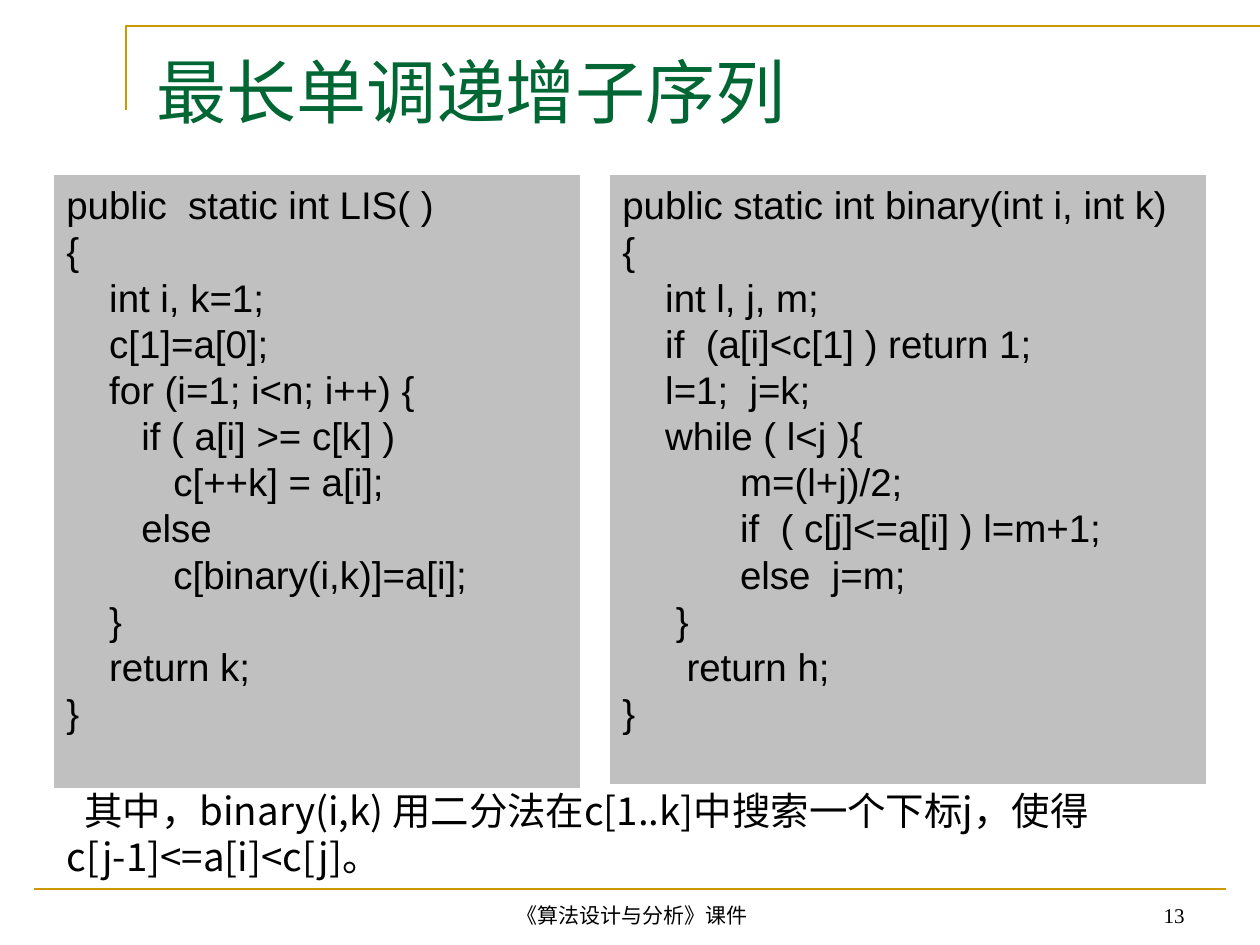
import pptx
import pptx.dml.color
import pptx.enum.shapes
import pptx.enum.text
import pptx.oxml.ns
import pptx.util
import lxml.etree

ANCHOR = pptx.enum.text.MSO_ANCHOR
ALIGN = pptx.enum.text.PP_ALIGN
GOLD, GREEN, GRAY, BLACK = "CC9900", "006633", "C0C0C0", "000000"
SANS, CJK, SERIF = "Arial", "Noto Sans CJK SC", "Times New Roman"
SPACE = 10.7

LIS_CODE = [
    (0, "public  static int LIS( )"),
    (0, "{"),
    (4, "int i, k=1;"),
    (4, "c[1]=a[0];"),
    (4, "for (i=1; i<n; i++) {"),
    (7, "if ( a[i] >= c[k] )"),
    (10, "c[++k] = a[i];"),
    (7, "else"),
    (10, "c[binary(i,k)]=a[i];"),
    (4, "}"),
    (4, "return k;"),
    (0, "}"),
]
BINARY_CODE = [
    (0, "public static int binary(int i, int k)"),
    (0, "{"),
    (4, "int l, j, m;"),
    (4, "if  (a[i]<c[1] ) return 1;"),
    (4, "l=1;  j=k;"),
    (4, "while ( l<j ){"),
    (11, "m=(l+j)/2;"),
    (11, "if  ( c[j]<=a[i] ) l=m+1;"),
    (11, "else  j=m;"),
    (5, "}"),
    (6, "return h;"),
    (0, "}"),
]


def px(length):
    return pptx.util.Emu(round(length * 914400 / 126))


def color(hex_value):
    return pptx.dml.color.RGBColor.from_string(hex_value)


def apply(target, values):
    for name, value in values.items():
        setattr(target, name, value)


def stroke(outline):
    outline.line.color.rgb = color(GOLD)
    outline.line.width = pptx.util.Pt(1.5)


def write(frame, lines, size, font, ink=BLACK, anchor=ANCHOR.TOP, **layout):
    apply(frame, {
        "word_wrap": True, "vertical_anchor": anchor,
        "margin_left": px(12.6), "margin_right": px(12.6),
        "margin_top": px(6.3), "margin_bottom": px(6.3),
    })
    for number, (spaces, words) in enumerate(lines):
        paragraph = frame.add_paragraph() if number else frame.paragraphs[0]
        apply(paragraph, {"alignment": ALIGN.LEFT, **layout})
        if spaces:
            paragraph._p.get_or_add_pPr().set("marL", str(px(spaces * SPACE)))
        run = paragraph.add_run()
        run.text = words
        apply(run.font, {"size": pptx.util.Pt(size), "name": font})
        run.font.color.rgb = color(ink)
        east_asian = lxml.etree.SubElement(run._r.get_or_add_rPr(), pptx.oxml.ns.qn("a:ea"))
        east_asian.set("typeface", CJK)


def add_text(slide, box, words, size, font, **style):
    label = slide.shapes.add_textbox(*map(px, box))
    write(label.text_frame, [(0, words)], size, font, **style)
    return label


def add_header(slide, left, top, width, height):
    builder = slide.shapes.build_freeform(px(left), px(top + height))
    builder.add_line_segments([(px(left), px(top)), (px(left + width), px(top))], close=False)
    corner = builder.convert_to_shape()
    corner.shadow.inherit = False
    corner.fill.background()
    stroke(corner)
    add_text(slide, (left + 18, top + 9, 1071, 110), "最长单调递增子序列", 40, CJK,
             ink=GREEN, anchor=ANCHOR.MIDDLE, line_spacing=pptx.util.Pt(48))


def add_code(slide, box, code):
    panel = slide.shapes.add_shape(pptx.enum.shapes.MSO_SHAPE.RECTANGLE, *map(px, box))
    panel.shadow.inherit = False
    panel.fill.solid()
    panel.fill.fore_color.rgb = color(GRAY)
    panel.line.fill.background()
    write(panel.text_frame, code, 22, SANS, line_spacing=pptx.util.Pt(26.4))


def add_note(slide, box):
    note = add_text(slide, box, "其中，binary(i,k) 用二分法在c[1..k]中搜索一个下标j，使得c[j-1]<=a[i]<c[j]。",
                    22, CJK, line_spacing=pptx.util.Pt(26.6))
    note.text_frame.paragraphs[0]._p.get_or_add_pPr().set("indent", str(px(18)))


def add_footer(slide, left, top, width, height):
    rule = slide.shapes.add_connector(
        pptx.enum.shapes.MSO_CONNECTOR.STRAIGHT, px(left), px(top), px(left + width), px(top))
    stroke(rule)
    lxml.etree.SubElement(rule._element.spPr, pptx.oxml.ns.qn("a:effectLst"))
    for offset, span, words, alignment in (
        (398, 400, "《算法设计与分析》课件", ALIGN.CENTER),
        (869, 294, "13", ALIGN.RIGHT),
    ):
        add_text(slide, (left + offset, top, span, height), words, 12, SERIF,
                 anchor=ANCHOR.BOTTOM, alignment=alignment)


def main():
    deck = pptx.Presentation()
    apply(deck, {"slide_width": px(1260), "slide_height": px(945)})
    slide = deck.slides.add_slide(deck.slide_layouts[6])
    add_header(slide, 126, 26, 1134, 84)
    add_code(slide, (54, 175, 526, 613), LIS_CODE)
    add_code(slide, (610, 175, 596, 609), BINARY_CODE)
    add_note(slide, (54, 780, 1101, 106))
    add_footer(slide, 34, 889, 1192, 45)
    deck.save("out.pptx")


if __name__ == "__main__":
    main()
